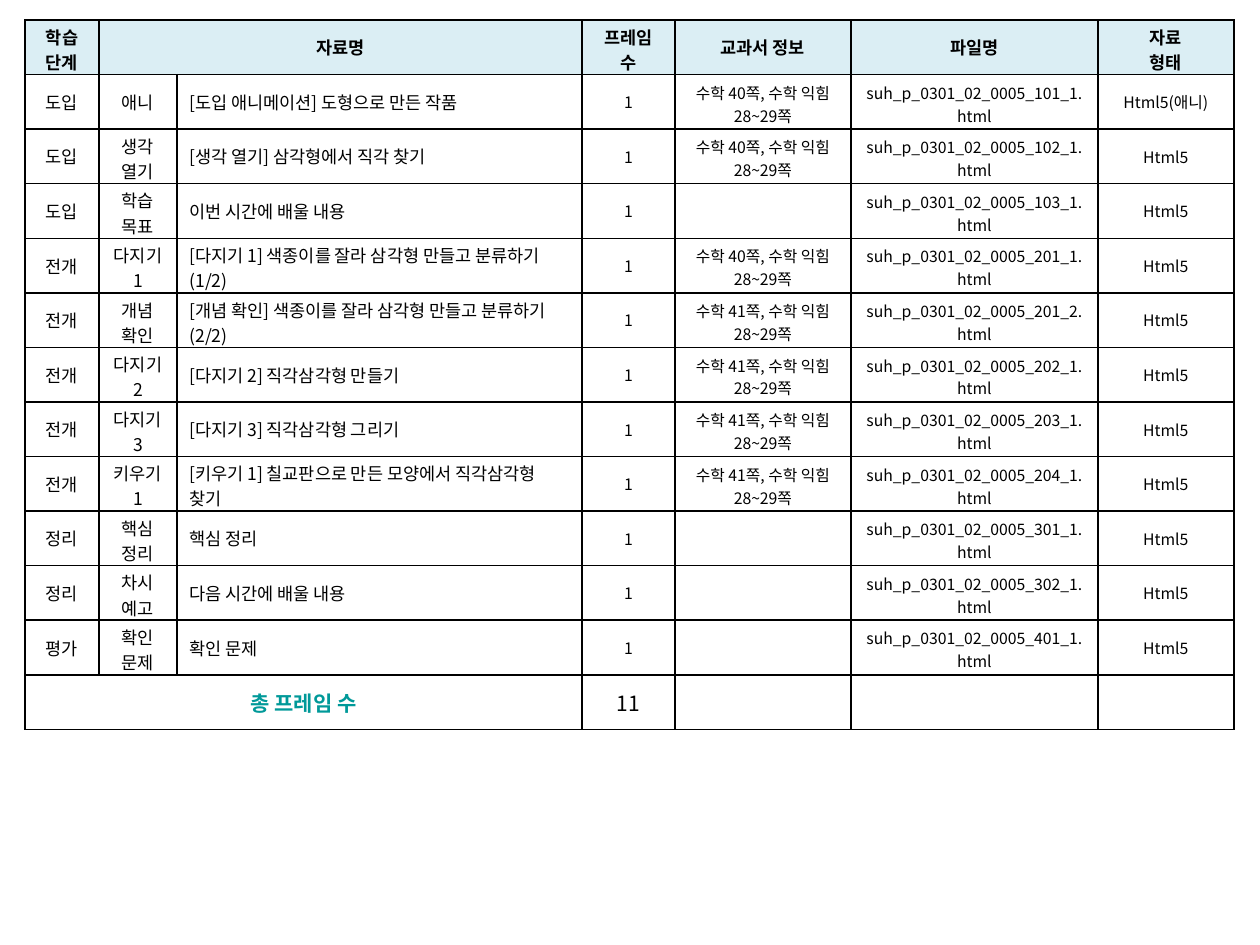
from lxml import etree
from pptx import Presentation
from pptx.dml.color import RGBColor
from pptx.enum.text import MSO_ANCHOR, PP_ALIGN
from pptx.oxml.ns import qn
from pptx.util import Emu, Pt

MIDDLE = MSO_ANCHOR.MIDDLE
LEFT, CENTER = PP_ALIGN.LEFT, PP_ALIGN.CENTER
BLACK = RGBColor(0x00, 0x00, 0x00)
WHITE = RGBColor(0xFF, 0xFF, 0xFF)
PALE = RGBColor(0xDB, 0xEE, 0xF4)
TEAL = RGBColor(0x00, 0x99, 0x99)
FONT = "Noto Sans CJK KR"
SCALE = 914400 // 126

COLS = [74, 78, 405, 93, 176, 247, 136]
ROOMS = [3, 3, 25, 4, 8, 20, 12]
TOP, SIDE, TALL, DROP = 20, 25, 710, 4
HEAD = ["학습 단계", "자료명", "", "프레임 수", "교과서 정보", "파일명", "자료\n형태"]
ITEMS = [
    ("도입", "애니", "[도입 애니메이션] 도형으로 만든 작품", 40, "101_1"),
    ("도입", "생각 열기", "[생각 열기] 삼각형에서 직각 찾기", 40, "102_1"),
    ("도입", "학습 목표", "이번 시간에 배울 내용", None, "103_1"),
    ("전개", "다지기 1", "[다지기 1] 색종이를 잘라 삼각형 만들고 분류하기 (1/2)", 40, "201_1"),
    ("전개", "개념 확인", "[개념 확인] 색종이를 잘라 삼각형 만들고 분류하기 (2/2)", 41, "201_2"),
    ("전개", "다지기 2", "[다지기 2] 직각삼각형 만들기", 41, "202_1"),
    ("전개", "다지기3", "[다지기 3] 직각삼각형 그리기", 41, "203_1"),
    ("전개", "키우기1", "[키우기 1] 칠교판으로 만든 모양에서 직각삼각형 찾기", 41, "204_1"),
    ("정리", "핵심 정리", "핵심 정리", None, "301_1"),
    ("정리", "차시 예고", "다음 시간에 배울 내용", None, "302_1"),
    ("평가", "확인 문제", "확인 문제", None, "401_1"),
]


def px(count):
    """Turn pixels into EMU."""
    return Emu(count * SCALE)


def add_lines(cell):
    """Draw a thin black border on each side of a cell."""
    props = cell._tc.get_or_add_tcPr()
    for side in ("a:lnL", "a:lnR", "a:lnT", "a:lnB"):
        line = etree.SubElement(props, qn(side), w=str(Pt(1)))
        fill = etree.SubElement(line, qn("a:solidFill"))
        etree.SubElement(fill, qn("a:srgbClr"), val=str(BLACK))


def add_text(cell, text, size, bold, color, align):
    """Write one paragraph per line of text."""
    frame = cell.text_frame
    for num, line in enumerate(text.split("\n")):
        para = frame.add_paragraph() if num else frame.paragraphs[0]
        para.alignment = align
        run = para.add_run()
        run.text = line
        font = run.font
        font.name, font.size, font.bold = FONT, Pt(size), bold
        font.color.rgb = color
        etree.SubElement(run._r.get_or_add_rPr(), qn("a:ea"), typeface=FONT)


def fill_cell(cell, text, size, bold=False, color=BLACK, align=CENTER,
              fill=None, room=99):
    """Set the border, fill and text of a cell, lower if it takes two lines."""
    add_lines(cell)
    if fill is None:
        cell.fill.background()
    else:
        cell.fill.solid()
        cell.fill.fore_color.rgb = fill
    cell.vertical_anchor = MIDDLE
    two = "\n" in text or len(text) > room
    cell.margin_top, cell.margin_bottom = px(DROP if two else 0), 0
    add_text(cell, text, size, bold, color, align)


def fill_item(cells, item, fill):
    """Fill the row of one lesson item."""
    stage, part, title, page, code = item
    book = f"수학 {page}쪽, 수학 익힘 28~29쪽" if page else ""
    kind = "Html5(애니)" if part == "애니" else "Html5"
    name = f"suh_p_0301_02_0005_{code}.html"
    for col, text in enumerate([stage, part, title, "1", book, name, kind]):
        size = 10 if col < 3 else 9
        align = LEFT if col == 2 else CENTER
        fill_cell(cells[col], text, size, align=align, fill=fill, room=ROOMS[col])


def fill_total(cells):
    """Fill the row with the frame count."""
    for col, text in enumerate(["총 프레임 수", "", "", "11", "", "", ""]):
        first = col == 0
        fill_cell(cells[col], text, 12, first, TEAL if first else BLACK, fill=WHITE)
    cells[0].merge(cells[2])


def add_grid(slide):
    """Add the lesson table."""
    count = len(ITEMS) + 2
    frame = slide.shapes.add_table(
        count, len(COLS), px(SIDE), px(TOP), px(sum(COLS)), px(TALL))
    table = frame.table
    table.first_row = table.horz_banding = False
    for col, width in zip(table.columns, COLS):
        col.width = px(width)
    rows = [list(row.cells) for row in table.rows]
    for cell, text, room in zip(rows[0], HEAD, ROOMS):
        fill_cell(cell, text, 10, True, fill=PALE, room=room)
    rows[0][1].merge(rows[0][2])
    for cells, item in zip(rows[1:], ITEMS):
        fill_item(cells, item, WHITE if item[0] == "평가" else None)
    fill_total(rows[-1])


def main():
    """Build the slide and save it."""
    deck = Presentation()
    deck.slide_width, deck.slide_height = px(1260), px(945)
    slide = deck.slides.add_slide(deck.slide_layouts[6])
    add_grid(slide)
    deck.save("out.pptx")


if __name__ == "__main__":
    main()
